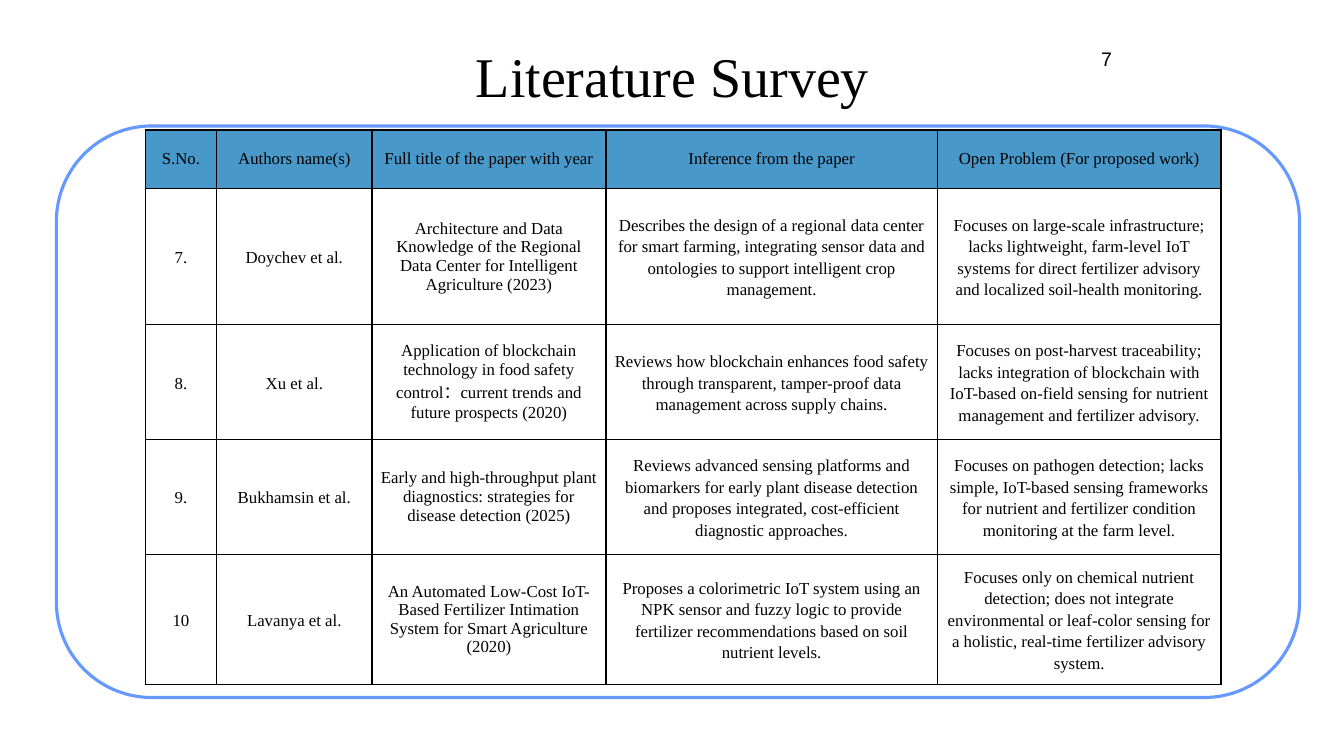
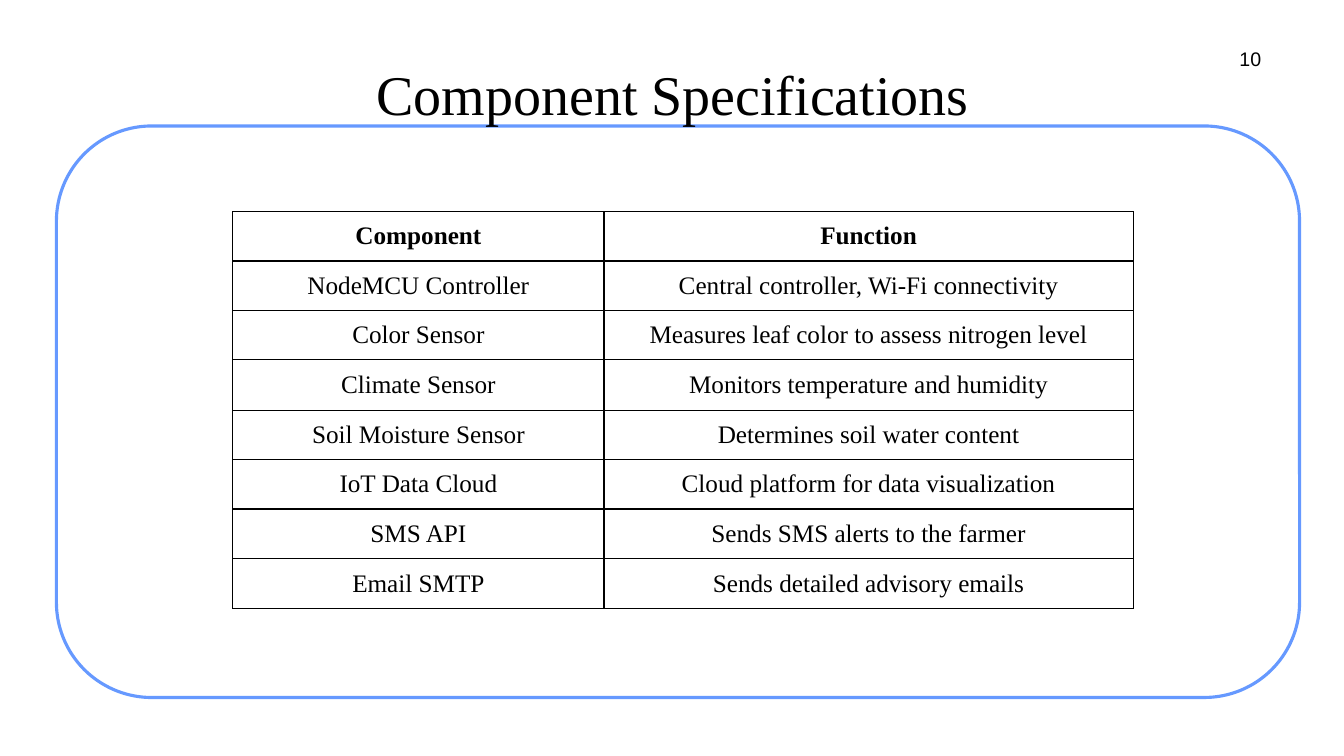
"""Build two framed table slides for a smart farming project."""
from dataclasses import dataclass
from typing import Optional

from lxml.etree import SubElement
from pptx import Presentation
from pptx.dml.color import RGBColor
from pptx.enum.shapes import MSO_SHAPE as Shape
from pptx.enum.text import MSO_ANCHOR as Anchor, PP_ALIGN as Align
from pptx.oxml.ns import qn
from pptx.util import Emu, Pt

EMU_PER_PX = 9144
BLACK, WHITE, FRAME_BLUE, HEADER_BLUE = "000000", "FFFFFF", "6699FF", "4898CA"
SERIF, SANS = "Times New Roman", "Arial"


@dataclass(frozen=True)
class Area:
    left: int
    top: int
    width: int
    height: int


@dataclass(frozen=True)
class TableSpec:
    left: int
    top: int
    widths: list[int]
    heights: list[int]
    rows: list[tuple[str, ...]]
    size: int
    header_fill: Optional[str] = None
    header_bold: bool = False
    body_margin: tuple[int, int] = (10, 5)
    body_spacing: Optional[float] = None
    single_spaced_column: Optional[int] = None


@dataclass(frozen=True)
class PageSpec:
    title: str
    title_area: Area
    number: str
    number_area: Area
    table: TableSpec


def px(length: int) -> Emu:
    return Emu(length * EMU_PER_PX)


def color(value: str) -> RGBColor:
    return RGBColor.from_string(value)


def place(area: Area) -> tuple[Emu, Emu, Emu, Emu]:
    return px(area.left), px(area.top), px(area.width), px(area.height)


def write(frame, text: str, *, size: int, font: str = SERIF, bold: bool = False,
          align=Align.CENTER, spacing: Optional[float] = None) -> None:
    para = frame.paragraphs[0]
    para.alignment = align
    if spacing:
        para.line_spacing = spacing
    span = para.add_run()
    span.text = text
    span.font.name = font
    span.font.size = Pt(size)
    span.font.bold = bold
    span.font.color.rgb = color(BLACK)


def add_text(page, area: Area, text: str, *, anchor=Anchor.TOP, **style) -> None:
    frame = page.shapes.add_textbox(*place(area)).text_frame
    frame.word_wrap = True
    frame.vertical_anchor = anchor
    frame.margin_left = frame.margin_right = px(5)
    frame.margin_top = frame.margin_bottom = px(5)
    write(frame, text, **style)


def add_frame(page) -> None:
    panel = page.shapes.add_shape(Shape.ROUNDED_RECTANGLE, *place(Area(56, 125, 1233, 567)))
    panel.shadow.inherit = False
    panel.fill.solid()
    panel.fill.fore_color.rgb = color(WHITE)
    panel.line.color.rgb = color(FRAME_BLUE)
    panel.line.width = Pt(2.25)


def add_borders(cell) -> None:
    properties = cell._tc.get_or_add_tcPr()
    for side in ("a:lnL", "a:lnR", "a:lnT", "a:lnB"):
        edge = SubElement(properties, qn(side), w=str(Pt(1)))
        SubElement(SubElement(edge, qn("a:solidFill")), qn("a:srgbClr"), val=BLACK)


def format_cell(cell, margin: tuple[int, int], fill: Optional[str]) -> None:
    across, down = margin
    cell.vertical_anchor = Anchor.MIDDLE
    cell.margin_left = cell.margin_right = px(across)
    cell.margin_top = cell.margin_bottom = px(down)
    add_borders(cell)
    if fill:
        cell.fill.solid()
        cell.fill.fore_color.rgb = color(fill)
    else:
        cell.fill.background()


def add_grid(page, spec: TableSpec) -> None:
    area = Area(spec.left, spec.top, sum(spec.widths), sum(spec.heights))
    table = page.shapes.add_table(len(spec.rows), len(spec.widths), *place(area)).table
    table.first_row = table.horz_banding = False
    for column, width in zip(table.columns, spec.widths):
        column.width = px(width)
    for row, height in zip(table.rows, spec.heights):
        row.height = px(height)
    for row_index, texts in enumerate(spec.rows):
        header = row_index == 0
        for column_index, text in enumerate(texts):
            cell = table.cell(row_index, column_index)
            single = header or column_index == spec.single_spaced_column
            format_cell(cell, (10, 5) if header else spec.body_margin,
                        spec.header_fill if header else None)
            write(cell.text_frame, text, size=spec.size,
                  bold=header and spec.header_bold,
                  spacing=None if single else spec.body_spacing)


def add_page(deck, spec: PageSpec) -> None:
    page = deck.slides.add_slide(deck.slide_layouts[6])
    add_frame(page)
    add_text(page, spec.title_area, spec.title, size=40, anchor=Anchor.MIDDLE)
    add_text(page, spec.number_area, spec.number, size=14, font=SANS, align=Align.RIGHT)
    add_grid(page, spec.table)


SURVEY = TableSpec(
    144, 129, [71, 154, 232, 329, 281], [58, 135, 114, 114, 120],
    [
        ("S.No.", "Authors name(s)", "Full title of the paper with year",
         "Inference from the paper", "Open Problem (For proposed work)"),
        ("7.", "Doychev et al.",
         "Architecture and Data Knowledge of the Regional Data Center for Intelligent "
         "Agriculture (2023)",
         "Describes the design of a regional data center for smart farming, integrating "
         "sensor data and ontologies to support intelligent crop management.",
         "Focuses on large-scale infrastructure; lacks lightweight, farm-level IoT systems "
         "for direct fertilizer advisory and localized soil-health monitoring."),
        ("8.", "Xu et al.",
         "Application of blockchain technology in food safety control：current trends and "
         "future prospects (2020)",
         "Reviews how blockchain enhances food safety through transparent, tamper-proof "
         "data management across supply chains.",
         "Focuses on post-harvest traceability; lacks integration of blockchain with "
         "IoT-based on-field sensing for nutrient management and fertilizer advisory."),
        ("9.", "Bukhamsin et al.",
         "Early and high-throughput plant diagnostics: strategies for disease detection "
         "(2025)",
         "Reviews advanced sensing platforms and biomarkers for early plant disease "
         "detection and proposes integrated, cost-efficient diagnostic approaches.",
         "Focuses on pathogen detection; lacks simple, IoT-based sensing frameworks for "
         "nutrient and fertilizer condition monitoring at the farm level."),
        ("10", "Lavanya et al.",
         "An Automated Low-Cost IoT-Based Fertilizer Intimation System for Smart "
         "Agriculture (2020)",
         "Proposes a colorimetric IoT system using an NPK sensor and fuzzy logic to "
         "provide fertilizer recommendations based on soil nutrient levels.",
         "Focuses only on chemical nutrient detection; does not integrate environmental "
         "or leaf-color sensing for a holistic, real-time fertilizer advisory system."),
    ],
    size=12, header_fill=HEADER_BLUE, body_margin=(7, 7), body_spacing=1.15,
    single_spaced_column=2)

COMPONENTS = TableSpec(
    231, 210, [368, 525], [49, 49, 49, 50] * 2,
    [
        ("Component", "Function"),
        ("NodeMCU Controller", "Central controller, Wi-Fi connectivity"),
        ("Color Sensor", "Measures leaf color to assess nitrogen level"),
        ("Climate Sensor", "Monitors temperature and humidity"),
        ("Soil Moisture Sensor", "Determines soil water content"),
        ("IoT Data Cloud", "Cloud platform for data visualization"),
        ("SMS API", "Sends SMS alerts to the farmer"),
        ("Email SMTP", "Sends detailed advisory emails"),
    ],
    size=18, header_bold=True)

PAGES = [
    PageSpec("Literature Survey", Area(292, 31, 750, 88),
             "7", Area(1086, 42, 22, 34), SURVEY),
    PageSpec("Component Specifications", Area(67, 10, 1200, 165),
             "10", Area(1212, 42, 44, 34), COMPONENTS),
]


def main() -> None:
    deck = Presentation()
    deck.slide_width, deck.slide_height = px(1333), px(750)
    for spec in PAGES:
        add_page(deck, spec)
    deck.save("out.pptx")


if __name__ == "__main__":
    main()
